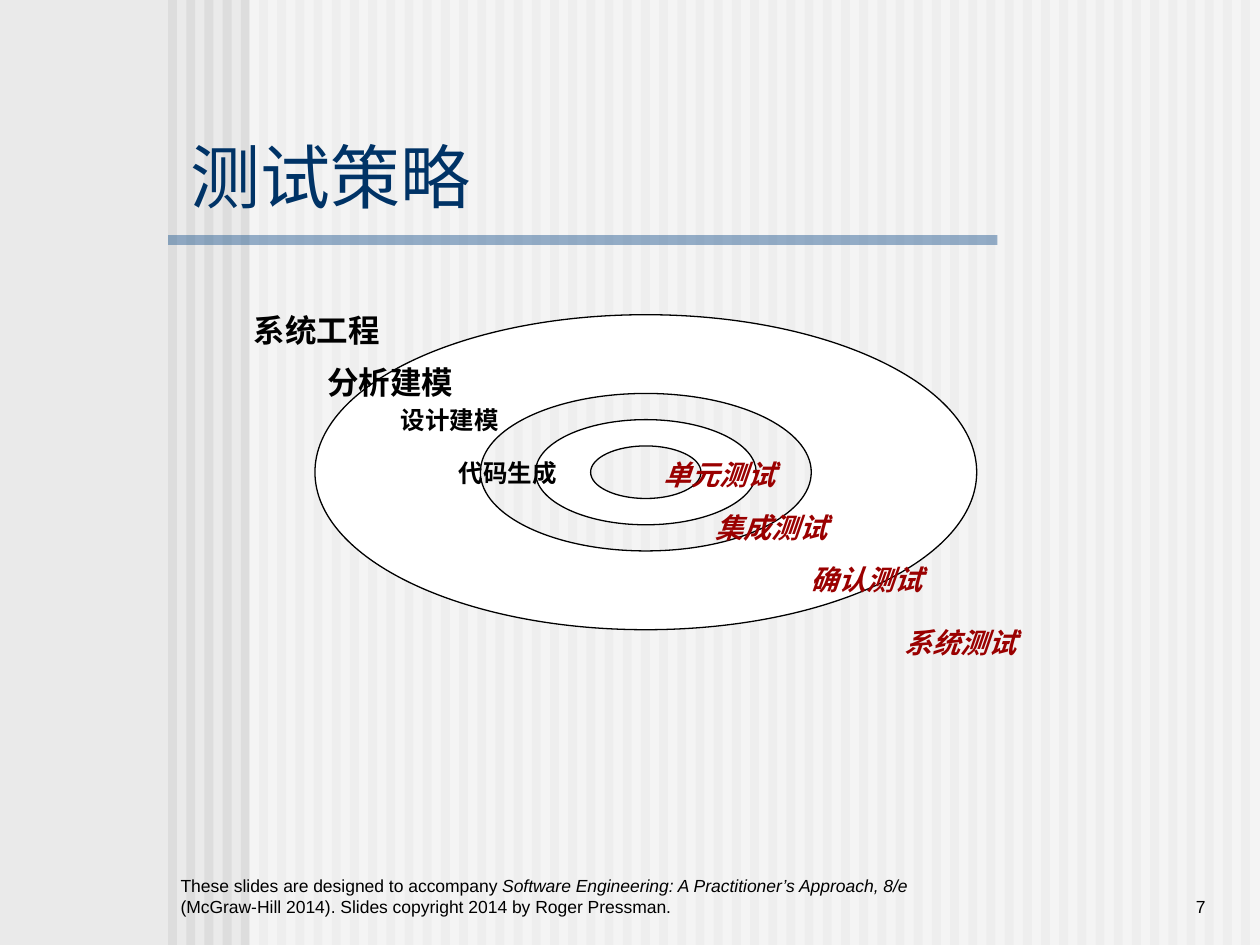
from math import cos, pi, sin
from lxml.etree import SubElement
from pptx import Presentation
from pptx.dml.color import RGBColor
from pptx.enum.shapes import MSO_SHAPE as Kind
from pptx.enum.text import MSO_ANCHOR as Anchor, PP_ALIGN as Align
from pptx.oxml.ns import qn
from pptx.util import Cm, Pt

WIDE, HIGH = 25.4, 19.05
BLACK, WHITE, NAVY, RED = "000000", "FFFFFF", "003366", "9A0000"


def paint(color, code):
    color.rgb = RGBColor.from_string(code)


class Deck:
    font = "Arial"
    grid = 10000
    bend = 0.5523

    def __init__(self):
        self.file = Presentation()
        self.file.slide_width, self.file.slide_height = Cm(WIDE), Cm(HIGH)
        self.slide = self.file.slides.add_slide(self.file.slide_layouts[6])

    def ground(self, code):
        fill = self.slide.background.fill
        fill.solid()
        paint(fill.fore_color, code)

    def fill(self, shape, code, alpha=100):
        shape.shadow.inherit = False
        shape.fill.solid()
        paint(shape.fill.fore_color, code)
        if alpha < 100:
            color = shape.fill._xPr.find(".//" + qn("a:srgbClr"))
            SubElement(color, qn("a:alpha"), val=str(alpha * 1000))

    def bar(self, x, y, w, h, code, alpha=100):
        shape = self.slide.shapes.add_shape(Kind.RECTANGLE, Cm(x), Cm(y), Cm(w), Cm(h))
        self.fill(shape, code, alpha)
        shape.line.fill.background()

    def step(self, route, tag, points):
        node = SubElement(route, qn(tag))
        for x, y in points:
            SubElement(node, qn("a:pt"), x=str(round((1 + x) * self.grid / 2)),
                       y=str(round((1 + y) * self.grid / 2)))

    def oval(self, route, size, turn):
        def spot(angle, pull=0):
            pull *= turn * self.bend
            return (size * (cos(angle) - pull * sin(angle)),
                    size * (sin(angle) + pull * cos(angle)))

        self.step(route, "a:moveTo", [spot(pi)])
        for n in range(4):
            start = pi + turn * n * pi / 2
            end = start + turn * pi / 2
            self.step(route, "a:cubicBezTo", [spot(start, 1), spot(end, -1), spot(end)])
        SubElement(route, qn("a:close"))

    def ring(self, x, y, w, h):
        left, top, right, low = x - w / 2, y - h / 2, x + w / 2, y + h / 2
        draft = self.slide.shapes.build_freeform(Cm(left), Cm(y))
        draft.add_line_segments([(Cm(x), Cm(top)), (Cm(right), Cm(y)), (Cm(x), Cm(low))])
        shape = draft.convert_to_shape()
        route = shape._element.find(".//" + qn("a:path"))
        for node in list(route):
            route.remove(node)
        for side in "wh":
            route.set(side, str(self.grid))
        self.oval(route, 1, 1)
        self.oval(route, 0.5, -1)
        self.fill(shape, WHITE)
        paint(shape.line.color, BLACK)
        shape.line.width = Pt(0.75)

    def text(self, x, y, w, h, runs, size, code=BLACK, bold=False, slant=False,
             anchor=Anchor.TOP, align=Align.LEFT):
        frame = self.slide.shapes.add_textbox(Cm(x), Cm(y), Cm(w), Cm(h)).text_frame
        frame.word_wrap, frame.vertical_anchor = True, anchor
        para = frame.paragraphs[0]
        para.alignment = align
        font = para.font
        font.name, font.size, font.bold = self.font, Pt(size), bold
        paint(font.color, code)
        if slant:
            font.italic = True
        for words, lean in runs:
            run = para.add_run()
            run.text = words
            if lean:
                run.font.italic = True

    def label(self, x, y, words, size, code=BLACK, slant=False):
        high = 0.25 + size * 0.0425
        self.text(x, y, 5.29, high, [(words, False)], size, code, True, slant)

    def save(self):
        self.file.save("out.pptx")


def main():
    deck = Deck()
    deck.ground("EAEAEA")
    count, left, last = 60, 3.39, 25.02
    for n in range(count):
        deck.bar(left + n * (last - left) / (count - 1), 0, 0.18, HIGH, "DDDDDD")
    deck.bar(5.03, 0, WIDE - 5.03, HIGH, WHITE, 50)
    deck.bar(left, 4.74, 16.72, 0.2, "336699", 50)

    deck.text(left, 17.35, 15.24, 1.27, [
        ("These slides are designed to accompany ", False),
        ("Software Engineering: A Practitioner’s Approach, 8/e ", True),
        ("(McGraw-Hill 2014). Slides copyright 2014 by Roger Pressman.", False),
    ], 10, anchor=Anchor.BOTTOM)
    deck.text(20.95, 17.35, 3.6, 1.27, [("7", False)], 10,
              anchor=Anchor.BOTTOM, align=Align.RIGHT)
    deck.text(3.6, 2.76, 15.52, 1.57, [("测试策略", False)], 40, NAVY,
              anchor=Anchor.MIDDLE)

    for w, h in ((13.34, 6.35), (4.45, 2.12)):
        deck.ring(13.02, 9.52, w, h)

    for x, y, words, size in (
        (4.87, 6.14, "系统工程", 18),
        (6.35, 7.2, "分析建模", 18),
        (7.83, 8.04, "设计建模", 14),
        (9, 9.1, "代码生成", 14),
    ):
        deck.label(x, y, words, size)
    for x, y, words in (
        (13.13, 9.1, "单元测试"),
        (14.18, 10.16, "集成测试"),
        (16.09, 11.22, "确认测试"),
        (17.99, 12.49, "系统测试"),
    ):
        deck.label(x, y, words, 16, RED, True)
    deck.save()


if __name__ == "__main__":
    main()
